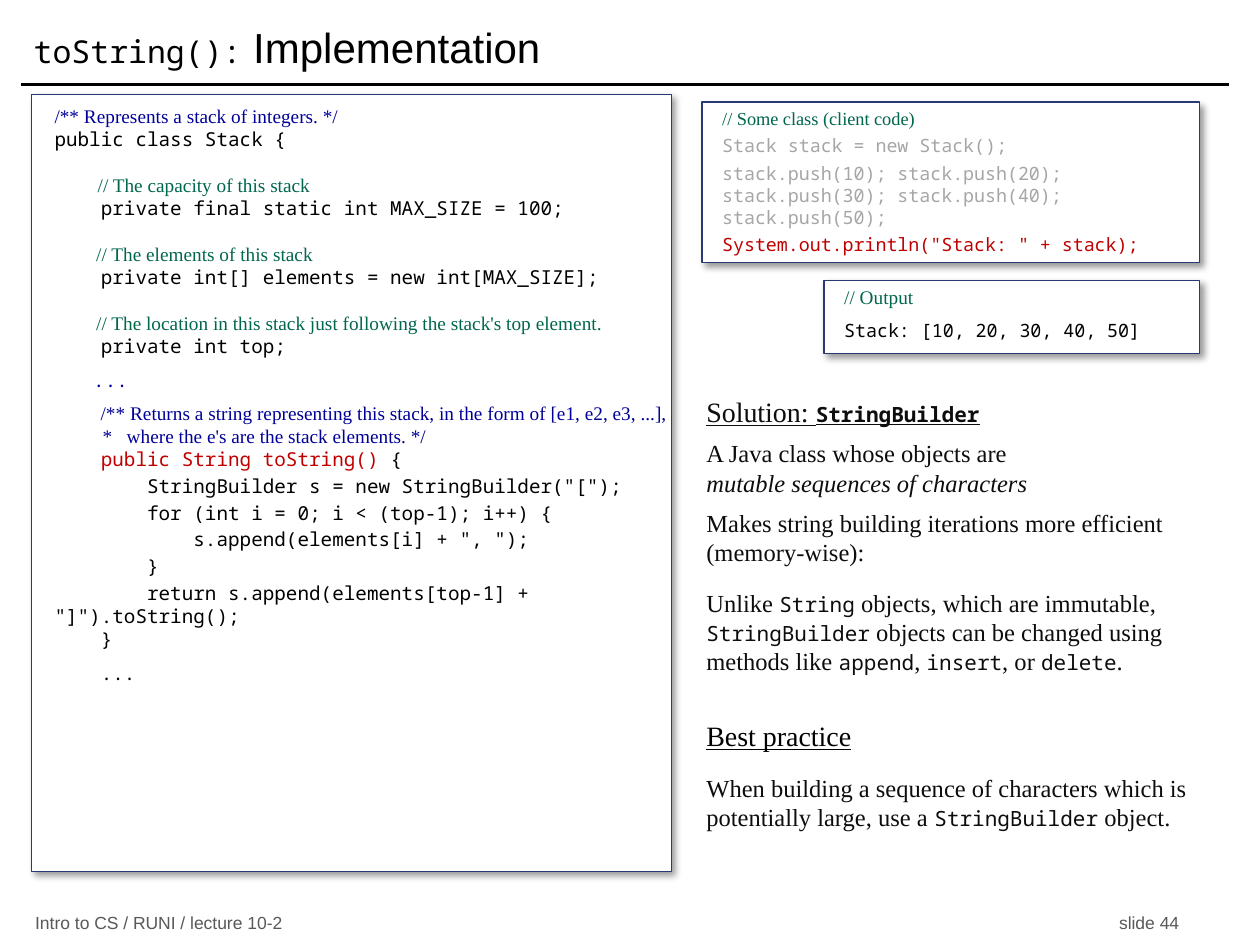
"""Build the toString() implementation slide with code panels and explanations."""
from dataclasses import dataclass

from lxml import etree
from pptx import Presentation
from pptx import util as u
from pptx.dml.color import RGBColor
from pptx.enum import shapes, text
from pptx.oxml.ns import qn


@dataclass(frozen=True)
class Style:
    font: str
    size: float
    color: str
    bold: bool = False
    italic: bool = False
    underline: bool = False


SANS, SERIF, MONO = "Arial", "Times New Roman", "Noto Sans Mono"
PAPER, BORDER, BLACK, INK = "FFFFFF", "293973", "000000", "0D0D0D"
GREEN, BLUE, RED = "00664D", "000099", "C00000"
THEME = {
    "title": Style(SANS, 24, BLACK),
    "title code": Style(MONO, 18, BLACK),
    "footer": Style(SANS, 10, "595959"),
    "doc": Style(SERIF, 11, BLUE),
    "note": Style(SERIF, 11, GREEN),
    "small note": Style(SERIF, 10.5, GREEN),
    "code": Style(MONO, 11, BLACK),
    "code blue": Style(MONO, 11, BLUE),
    "code red": Style(MONO, 11, RED),
    "client": Style(MONO, 10.5, "A6A6A6"),
    "client red": Style(MONO, 10.5, RED),
    "output": Style(MONO, 10.5, BLACK),
    "heading": Style(SERIF, 16, INK, underline=True),
    "heading black": Style(SERIF, 16, BLACK, underline=True),
    "heading code": Style(MONO, 12, INK, bold=True, underline=True),
    "body": Style(SERIF, 14, INK),
    "emphasis": Style(SERIF, 14, INK, italic=True),
    "term": Style(MONO, 12, INK),
}

# Each paragraph: space before (pt), left indent (cm), spans of (style, words)
TITLE = [(0, 0, [("title code", "toString():"), ("title", " Implementation")])]
STACK_CLASS = [
    (0, 0, [("doc", "/** Represents a stack of integers. */")]),
    (0, 0, [("code", "public class Stack {")]),
    (13, 0.87, [("note", "// The capacity of this stack")]),
    (0, 0, [("code", "    private final static int MAX_SIZE = 100;")]),
    (13, 0.84, [("note", "// The elements of this stack")]),
    (0, 0, [("code", "    private int[] elements = new int[MAX_SIZE];")]),
    (13, 0.84, [("note", "// The location in this stack just following the stack's top element.")]),
    (0, 0, [("code", "    private int top;")]),
    (6, 0.78, [("code blue", "...")]),
    (6, 0.93, [("doc", "/** Returns a string representing this stack, in the form of [e1, e2, e3, ...],")]),
    (0, 0.97, [("doc", "*   where the e's are the stack elements. */")]),
    (0, 0, [("code red", "    public String toString() "), ("code", "{")]),
    (2, 0, [("code", '        StringBuilder s = new StringBuilder("[");')]),
    (2, 0, [("code", "        for (int i = 0; i < (top-1); i++) {")]),
    (2, 0, [("code", '            s.append(elements[i] + ", ");')]),
    (2, 0, [("code", "        }")]),
    (2, 0, [("code", '        return s.append(elements[top-1] + "]").toString();')]),
    (0, 0, [("code", "    }")]),
    (6, 0, [("code", "    ...")]),
]
CLIENT = [
    (0, 0, [("small note", "// Some class (client code)")]),
    (3, 0, [("client", "Stack stack = new Stack();")]),
    (3, 0, [("client", "stack.push(10); stack.push(20); stack.push(30); stack.push(40); stack.push(50);")]),
    (3, 0, [("client red", 'System.out.println("Stack: " + stack);')]),
]
OUTPUT = [
    (0, 0, [("note", "// Output")]),
    (6, 0, [("output", "Stack: [10, 20, 30, 40, 50]")]),
]
SOLUTION = [
    (0, 0.15, [("heading", "Solution: "), ("heading code", "StringBuilder")]),
    (6, 0.15, [("body", "A Java class whose objects are")]),
    (0, 0.15, [("emphasis", "mutable sequences of characters")]),
    (6, 0.15, [("body", "Makes string building iterations more efficient (memory-wise):")]),
    (12, 0.15, [
        ("body", "Unlike "), ("term", "String"),
        ("body", " objects, which are immutable, "), ("term", "StringBuilder"),
        ("body", " objects can be changed using methods like "), ("term", "append"),
        ("body", ", "), ("term", "insert"), ("body", ", or "), ("term", "delete"),
        ("body", "."),
    ]),
]
PRACTICE = [
    (0, 0.15, [("heading black", "Best practice")]),
    (12, 0.15, [
        ("body", "When building a sequence of characters which is potentially large, use a "),
        ("term", "StringBuilder"), ("body", " object."),
    ]),
]
FOOTER = [
    ("Intro to CS / RUNI / lecture 10-2", text.PP_ALIGN.LEFT),
    ("slide 44", text.PP_ALIGN.RIGHT),
]

# Places in cm: left, top, width, height
PANELS = [
    (STACK_CLASS, (0.64, 1.9, 12.9, 15.67), (0.46, 0.2, 0, 0)),
    (CLIENT, (14.15, 2.06, 10.03, 3.23), (0.41, 0.1, 0, 0)),
    (OUTPUT, (16.61, 5.66, 7.57, 1.47), (0.41, 0.1, 0, 0)),
]
NOTES = [
    (SOLUTION, (13.84, 7.82, 10.34, 6.53)),
    (PRACTICE, (13.84, 14.35, 10.92, 3.48)),
]
TEXT_INSETS = (0.25, 0.13, 0.25, 0.13)
TOP, MIDDLE = text.MSO_ANCHOR.TOP, text.MSO_ANCHOR.MIDDLE


def lengths(values):
    return [u.Cm(value) for value in values]


def write(box, paragraphs, insets=TEXT_INSETS, anchor=TOP, align=text.PP_ALIGN.LEFT):
    frame = box.text_frame
    frame.word_wrap = True
    frame.vertical_anchor = anchor
    (frame.margin_left, frame.margin_top,
     frame.margin_right, frame.margin_bottom) = lengths(insets)
    for index, (space, indent, spans) in enumerate(paragraphs):
        para = frame.add_paragraph() if index else frame.paragraphs[0]
        para.alignment = align
        if space:
            para.space_before = u.Pt(space)
        if indent:
            properties = para._p.get_or_add_pPr()
            properties.set("marL", str(u.Cm(indent)))
            properties.set("indent", "0")
        for name, words in spans:
            style = THEME[name]
            span = para.add_run()
            span.text = words
            span.font.name, span.font.size = style.font, u.Pt(style.size)
            span.font.color.rgb = RGBColor.from_string(style.color)
            span.font.bold, span.font.italic = style.bold, style.italic
            span.font.underline = style.underline


def add_text(page, paragraphs, place, **options):
    write(page.shapes.add_textbox(*lengths(place)), paragraphs, **options)


def add_panel(page, paragraphs, place, insets):
    box = page.shapes.add_shape(shapes.MSO_SHAPE.RECTANGLE, *lengths(place))
    box.fill.solid()
    box.fill.fore_color.rgb = RGBColor.from_string(PAPER)
    box.line.color.rgb = RGBColor.from_string(BORDER)
    box.line.width = u.Pt(0.75)
    box.shadow.inherit = False
    effects = box._element.spPr.find(qn("a:effectLst"))
    shadow = etree.SubElement(
        effects, qn("a:outerShdw"), blurRad=str(u.Pt(4)), dist=str(u.Pt(3)),
        dir=str(45 * 60000), algn="tl", rotWithShape="0")
    color = etree.SubElement(shadow, qn("a:srgbClr"), val=BLACK)
    etree.SubElement(color, qn("a:alpha"), val="40000")
    write(box, paragraphs, insets)


def add_rule(page):
    rule = page.shapes.add_connector(
        shapes.MSO_CONNECTOR.STRAIGHT, *lengths((0.43, 1.7, 24.77, 1.7)))
    rule.line.color.rgb = RGBColor.from_string(BLACK)
    rule.line.width = u.Pt(2)
    etree.SubElement(rule._element.spPr, qn("a:effectLst"))


def main():
    deck = Presentation()
    deck.slide_width, deck.slide_height = lengths((25.4, 19.05))
    page = deck.slides.add_slide(deck.slide_layouts[6])
    add_rule(page)
    width = 11.78
    for index, (words, align) in enumerate(FOOTER):
        add_text(page, [(0, 0, [("footer", words)])],
                 (0.46 + index * width, 18.36, width, 0.48),
                 insets=(0.25, 0, 0.25, 0), anchor=MIDDLE, align=align)
    add_text(page, TITLE, (0.43, 0.2, 24.33, 1.47), anchor=MIDDLE)
    for paragraphs, place, insets in PANELS:
        add_panel(page, paragraphs, place, insets)
    for paragraphs, place in NOTES:
        add_text(page, paragraphs, place)
    deck.save("out.pptx")


if __name__ == "__main__":
    main()
